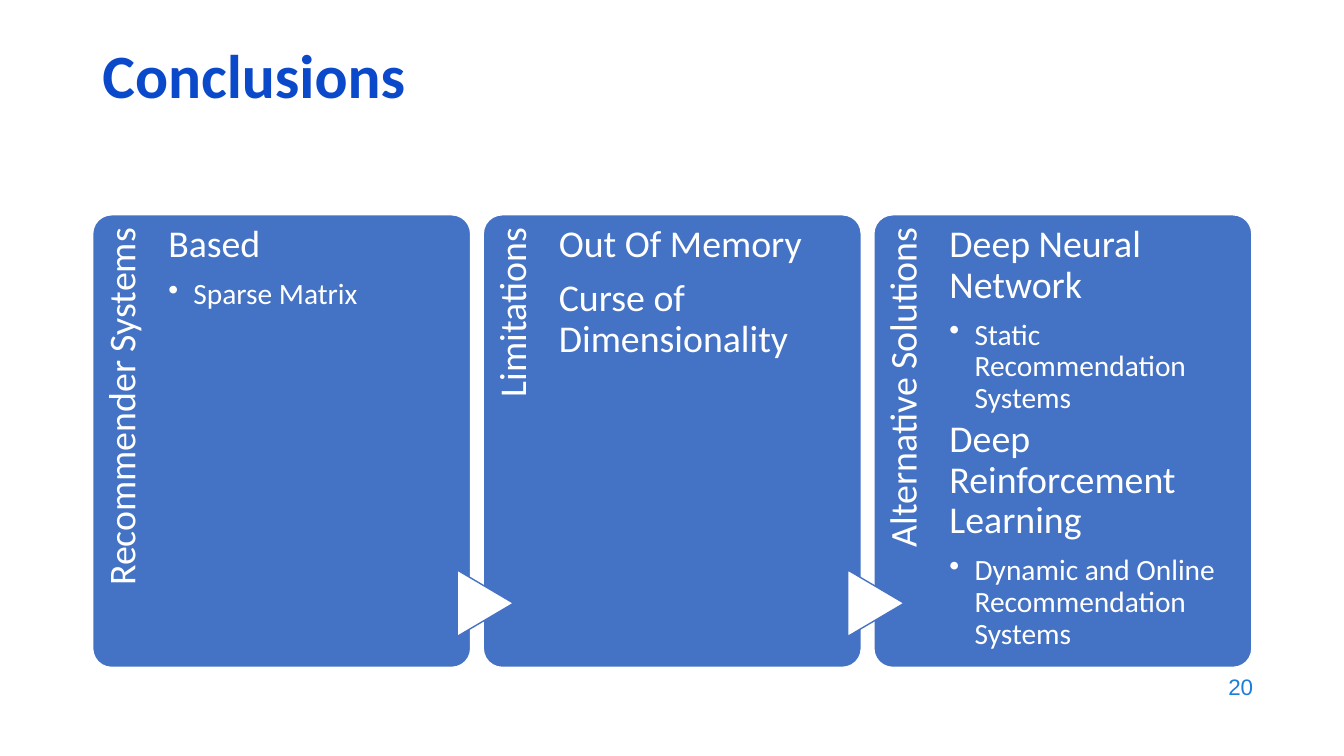
from collections import namedtuple

from lxml.etree import SubElement
from pptx import Presentation
from pptx.dml.color import RGBColor
from pptx.enum.shapes import MSO_SHAPE as Preset
from pptx.enum.text import MSO_ANCHOR as Anchor, PP_ALIGN as Align
from pptx.oxml.ns import qn
from pptx.util import Pt

Box = namedtuple("Box", "left top width height")

BLUE, WHITE = "4472C4", "FFFFFF"
CARD_SIZE = (270, 323.3)
CARD_PITCH = 279
LABEL_BAND = 54
HEADING, BULLET = 0, 1
CARDS = [
    ("Recommender Systems", [(HEADING, "Based"), (BULLET, "Sparse Matrix")]),
    ("Limitations", [(HEADING, "Out Of Memory"), (HEADING, "Curse of Dimensionality")]),
    ("Alternative Solutions", [
        (HEADING, "Deep Neural Network"),
        (BULLET, "Static Recommendation Systems"),
        (HEADING, "Deep Reinforcement Learning"),
        (BULLET, "Dynamic and Online Recommendation Systems"),
    ]),
]


def color(value):
    return RGBColor.from_string(value)


def points(box):
    return [Pt(length) for length in box]


def style(para, size, hex_color, font="Calibri", bold=False):
    for run in para.runs:
        run.font.name, run.font.size, run.font.bold = font, Pt(size), bold
        run.font.color.rgb = color(hex_color)


def add_preset(slide, preset, box, fill, line):
    shape = slide.shapes.add_shape(preset, *points(box))
    shape.shadow.inherit = False
    shape.fill.solid()
    shape.fill.fore_color.rgb = color(fill)
    shape.line.color.rgb = color(line)
    shape.line.width = Pt(1)
    return shape


def add_frame(slide, box, insets=(0, 7.2, 0, 0), rotation=0):
    shape = slide.shapes.add_textbox(*points(box))
    shape.rotation = rotation
    frame = shape.text_frame
    frame.word_wrap = True
    (frame.margin_left, frame.margin_top,
     frame.margin_right, frame.margin_bottom) = points(insets)
    return frame


def add_bullet(para):
    properties = para._p.get_or_add_pPr()
    properties.set("marL", str(Pt(18)))
    properties.set("indent", str(-Pt(18)))
    SubElement(properties, qn("a:buChar")).set("char", "•")


def add_title(slide, box, text):
    title = slide.shapes.title
    title.left, title.top, title.width, title.height = points(box)
    frame = title.text_frame
    frame.text = text
    frame.vertical_anchor = Anchor.TOP
    para = frame.paragraphs[0]
    para.alignment, para.line_spacing = Align.LEFT, 0.9
    style(para, 44, "0B49CB", bold=True)


def add_label(slide, card, text):
    """Write the text upwards along the card's left edge, ending at its top."""
    length = 265.7
    box = Box(card.left + (LABEL_BAND - length) / 2,
              card.top + (length - LABEL_BAND) / 2, length, LABEL_BAND)
    frame = add_frame(slide, box, (0, 7.2, 9.5, 0), rotation=270)
    frame.text = text
    para = frame.paragraphs[0]
    para.alignment, para.line_spacing = Align.RIGHT, 0.9
    style(para, 27, WHITE)


def add_arrow(slide, card):
    """Put a triangle over the gap before the card, pointing into it."""
    width, height = 47.5, 40.3
    box = Box(card.left + 1.5 - width / 2, card.top + 277.5 - height / 2, width, height)
    add_preset(slide, Preset.FLOWCHART_EXTRACT, box, WHITE, BLUE).rotation = 90


def add_points(slide, card, items):
    box = Box(card.left + LABEL_BAND, card.top, 201, card.height)
    frame = add_frame(slide, box)
    for index, (level, text) in enumerate(items):
        para = frame.paragraphs[0] if index == 0 else frame.add_paragraph()
        para.text = text
        para.level, para.line_spacing = level, 0.9
        para.space_after = Pt(3.15 if level == BULLET else 9.45)
        if level == BULLET:
            add_bullet(para)
        style(para, 21 if level == BULLET else 27, WHITE)


def add_cards(slide, left, top):
    for index, (label, items) in enumerate(CARDS):
        card = Box(left + index * CARD_PITCH, top, *CARD_SIZE)
        panel = add_preset(slide, Preset.ROUNDED_RECTANGLE, card, BLUE, WHITE)
        panel.adjustments[0] = 0.05
        add_label(slide, card, label)
        if index > 0:
            add_arrow(slide, card)
        add_points(slide, card, items)


def add_page_number(slide, box, number):
    frame = add_frame(slide, box, (7.2, 3.6, 7.2, 3.6))
    frame.text = number
    frame.vertical_anchor = Anchor.MIDDLE
    para = frame.paragraphs[0]
    para.alignment = Align.RIGHT
    style(para, 16, "1C7DDB", font="Arial")


def main():
    deck = Presentation()
    deck.slide_width, deck.slide_height = Pt(960), Pt(540)
    slide = deck.slides.add_slide(deck.slide_layouts[5])
    add_title(slide, Box(66, 28.8, 828, 104.4), "Conclusions")
    add_cards(slide, 66.2, 153.4)
    add_page_number(slide, Box(686.2, 474.5, 216, 31.7), "20")
    deck.save("out.pptx")


if __name__ == "__main__":
    main()
